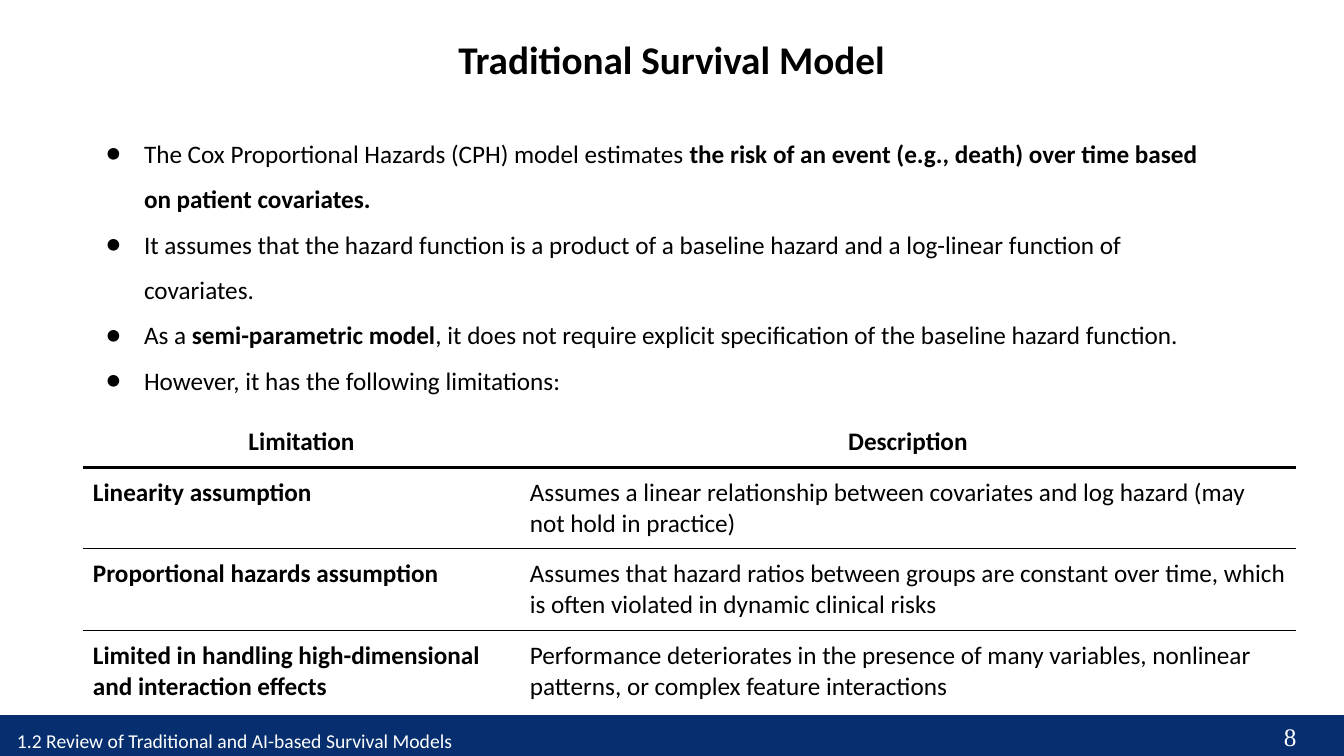
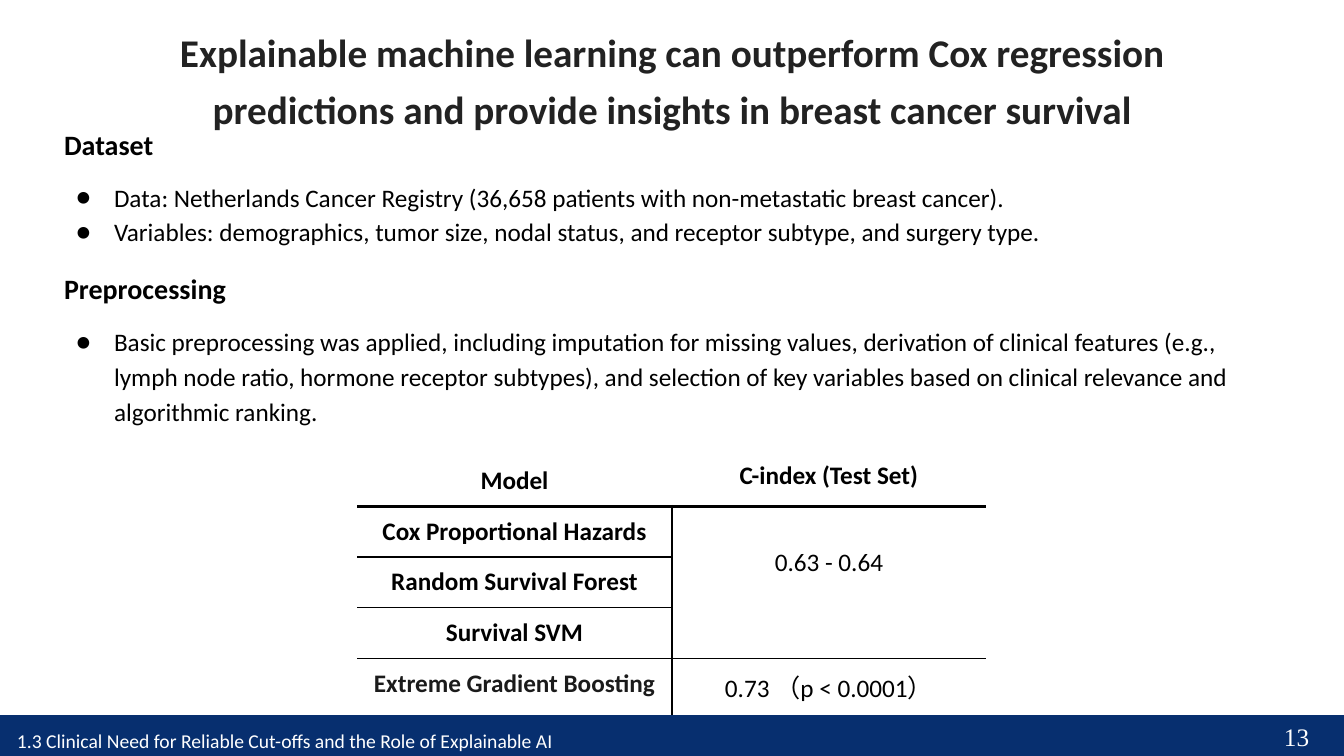
from lxml.etree import SubElement
from pptx import Presentation
from pptx.dml.color import RGBColor
from pptx.enum.shapes import MSO_SHAPE
from pptx.enum.text import MSO_ANCHOR, MSO_AUTO_SIZE, PP_ALIGN
from pptx.oxml.ns import qn
from pptx.util import Emu, Pt

SLIDE_W, SLIDE_H = 1344, 756
EMU_PER_PX = 914400 / 100.8
BAND_BOX = (0, 716, SLIDE_W, 40)
NAVY, BLACK, WHITE = "072F6F", "000000", "FFFFFF"
TITLE_GREY, CELL_GREY = "222222", "1B1B1B"
BODY_FONT, NUMBER_FONT = "Calibri", "Times New Roman"
INSET = 10
RULE, HEADER_RULE = 1, 2.25


def px(n):
    return Emu(round(n * EMU_PER_PX))


def rgb(color):
    return RGBColor.from_string(color)


def set_all(obj, values):
    for name, value in values.items():
        setattr(obj, name, value)


def place(sp, box):
    set_all(sp, dict(zip(("left", "top", "width", "height"), map(px, box))))


def frame(sp, inset_x=INSET, inset_y=INSET):
    tf = sp.text_frame
    set_all(tf, {
        "word_wrap": True, "auto_size": MSO_AUTO_SIZE.NONE,
        "vertical_anchor": MSO_ANCHOR.TOP,
        "margin_left": px(inset_x), "margin_right": px(inset_x),
        "margin_top": px(inset_y), "margin_bottom": px(inset_y),
    })
    return tf


def write(p, text, size=18, color=BLACK, bold=False, font=BODY_FONT, **layout):
    """Fill a paragraph; text between asterisks is bold."""
    set_all(p, {"line_spacing": 1.0, "space_before": Pt(0), **layout})
    for i, part in enumerate(text.split("*")):
        if part:
            r = p.add_run()
            r.text = part
            set_all(r.font, {"name": font, "size": Pt(size), "bold": bold or i % 2 == 1})
            r.font.color.rgb = rgb(color)


def set_bullet(p, shown):
    pPr = p._p.get_or_add_pPr()
    pPr.set("marL", str(px(50) if shown else 0))
    pPr.set("indent", str(px(-38) if shown else 0))
    if shown:
        SubElement(SubElement(pPr, qn("a:buClr")), qn("a:srgbClr"), val=BLACK)
        SubElement(pPr, qn("a:buFont"), typeface=BODY_FONT)
        SubElement(pPr, qn("a:buChar"), char="●")
    else:
        SubElement(pPr, qn("a:buNone"))


def add_title(s, box, text, color=BLACK, line_spacing=1.0):
    sp = s.shapes.title
    place(sp, box)
    write(frame(sp).paragraphs[0], text, 28, color, True,
          alignment=PP_ALIGN.CENTER, line_spacing=line_spacing)


def add_body(s, box, sections, line_spacing):
    """Place (heading or None, bullets) sections in the body placeholder."""
    sp = s.placeholders[1]
    place(sp, box)
    tf = frame(sp)
    lines = []
    for heading, bullets in sections:
        if heading:
            lines.append((heading, False, 14))
        for i, bullet in enumerate(bullets):
            lines.append((bullet, True, 12 if heading and i == 0 else 0))
    for i, (text, is_bullet, before) in enumerate(lines):
        p = tf.add_paragraph() if i else tf.paragraphs[0]
        set_bullet(p, is_bullet)
        write(p, text, 18 if is_bullet else 20, bold=not is_bullet,
              line_spacing=line_spacing, space_before=Pt(before if i else 0))


def add_text(s, box, text, size, font, inset_y, line_spacing=1.0):
    sp = s.shapes.add_textbox(*map(px, box))
    write(frame(sp, INSET, inset_y).paragraphs[0], text, size, WHITE,
          font=font, line_spacing=line_spacing)


def add_footer(s, box, section, number):
    x, y, w, h = box
    band = s.shapes.add_shape(MSO_SHAPE.RECTANGLE, *map(px, box))
    band.shadow.inherit = False
    band.fill.solid()
    band.fill.fore_color.rgb = rgb(NAVY)
    band.line.color.rgb = rgb(NAVY)
    band.line.width = Pt(2)
    add_text(s, (x + w - 70, y, 70, h), number, 18, NUMBER_FONT, 5)
    add_text(s, (x + 7, y - 4, 960, h + 4), section, 14, BODY_FONT, 5, 1.5)


def set_borders(cell, **widths):
    tcPr = cell._tc.get_or_add_tcPr()
    for side in "LRTB":
        width = widths.get(side, 0)
        ln = SubElement(tcPr, qn(f"a:ln{side}"), w=str(Pt(width)))
        if width:
            fill = SubElement(ln, qn("a:solidFill"))
            SubElement(fill, qn("a:srgbClr"), val=BLACK)
        else:
            SubElement(ln, qn("a:noFill"))


def add_ruled_table(s, box, col_widths, row_heights, rows, header_spacing,
                    centred=False, divider=False, merge=None):
    """Draw a table ruled under each row; merge is (first row, last row, column)."""
    table = s.shapes.add_table(len(rows), len(col_widths), *map(px, box)).table
    set_all(table, {"first_row": False, "horz_banding": False})
    for col, width in zip(table.columns, col_widths):
        col.width = px(width)
    for row, height in zip(table.rows, row_heights):
        row.height = px(height)
    if merge:
        first, last, c = merge
        table.cell(first, c).merge(table.cell(last, c))
    rules = [0, HEADER_RULE] + [RULE] * (len(rows) - 2) + [0]
    for r, row in enumerate(rows):
        for c, text in enumerate(row):
            cell = table.cell(r, c)
            if not cell.is_spanned:
                bottom = r + cell.span_height
                split = RULE if divider and r else 0
                set_borders(cell, T=rules[r], B=rules[bottom],
                            L=split if c else 0, R=0 if c else split)
                set_all(cell, {f"margin_{side}": px(INSET)
                               for side in ("left", "right", "top", "bottom")})
                if cell.is_merge_origin:
                    cell.margin_top = px(INSET + 31)
                is_last_name = centred and c == 0 and r == len(rows) - 1
                write(cell.text_frame.paragraphs[0], text, bold=r == 0 or c == 0,
                      color=CELL_GREY if is_last_name else BLACK,
                      alignment=PP_ALIGN.CENTER if centred or r == 0 else PP_ALIGN.LEFT,
                      line_spacing=1.0 if r else header_spacing[c])
            cell.fill.background()


def new_slide(prs, section, number):
    s = prs.slides.add_slide(prs.slide_layouts[1])
    add_footer(s, BAND_BOX, section, number)
    return s


def traditional_model_slide(prs):
    s = new_slide(prs, "1.2 Review of Traditional and AI-based Survival Models", "8")
    add_title(s, (318, 25, 707, 68), "Traditional Survival Model")
    add_body(s, (84, 113, 1144, 295), [(None, [
        "The Cox Proportional Hazards (CPH) model estimates *the risk of an event "
        "(e.g., death) over time based on patient covariates.*",
        "It assumes that the hazard function is a product of a baseline hazard and "
        "a log-linear function of covariates.",
        "As a *semi-parametric model*, it does not require explicit specification "
        "of the baseline hazard function.",
        "However, it has the following limitations:",
    ])], 1.5)
    add_ruled_table(s, (83, 412, 1213, 294), (437, 776), (55, 80, 80, 79), [
        ("Limitation", "Description"),
        ("Linearity assumption",
         "Assumes a linear relationship between covariates and log hazard "
         "(may not hold in practice)"),
        ("Proportional hazards assumption",
         "Assumes that hazard ratios between groups are constant over time, "
         "which is often violated in dynamic clinical risks"),
        ("Limited in handling high-dimensional and interaction effects",
         "Performance deteriorates in the presence of many variables, "
         "nonlinear patterns, or complex feature interactions"),
    ], (1.15, 1.15))


def explainable_model_slide(prs):
    s = new_slide(prs, "1.3 Clinical Need for Reliable Cut-offs and the Role of "
                       "Explainable AI", "13")
    add_title(s, (147, 9, 1050, 151),
              "Explainable machine learning can outperform Cox regression "
              "predictions and provide insights in breast cancer survival",
              TITLE_GREY, 1.2)
    add_body(s, (54, 112, 1235, 348), [
        ("Dataset", [
            "Data: Netherlands Cancer Registry (36,658 patients with "
            "non-metastatic breast cancer).",
            "Variables: demographics, tumor size, nodal status, and receptor "
            "subtype, and surgery type.",
        ]),
        ("Preprocessing", [
            "Basic preprocessing was applied, including imputation for missing "
            "values, derivation of clinical features (e.g., lymph node ratio, "
            "hormone receptor subtypes), and selection of key variables based on "
            "clinical relevance and algorithmic ranking.",
        ]),
    ], 1.15)
    add_ruled_table(s, (357, 451, 629, 261), (315, 314), (54, 50, 50, 51, 56), [
        ("Model", "C-index (Test Set)"),
        ("Cox Proportional Hazards", "0.63 - 0.64"),
        ("Random Survival Forest", ""),
        ("Survival SVM", ""),
        ("Extreme Gradient Boosting", "0.73 （p < 0.0001）"),
    ], (1.15, 1.0), centred=True, divider=True, merge=(1, 3, 1))


def main():
    prs = Presentation()
    set_all(prs, {"slide_width": px(SLIDE_W), "slide_height": px(SLIDE_H)})
    traditional_model_slide(prs)
    explainable_model_slide(prs)
    prs.save("out.pptx")


if __name__ == "__main__":
    main()
